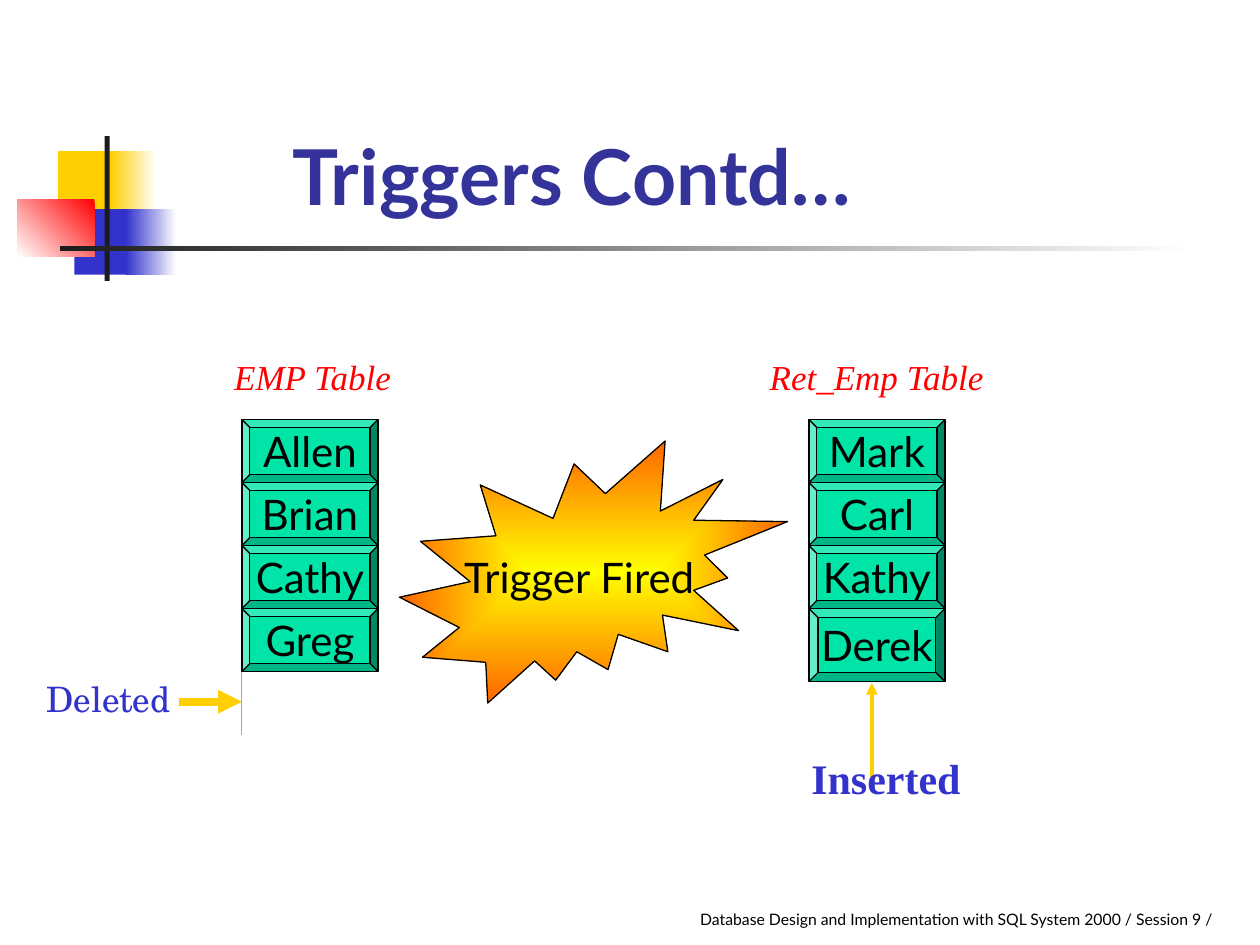
from dataclasses import dataclass

from lxml import etree
from pptx import Presentation
from pptx.dml.color import RGBColor
from pptx.enum.shapes import MSO_CONNECTOR as CONN, MSO_SHAPE as SHAPE
from pptx.enum.text import MSO_ANCHOR as ANCHOR, MSO_AUTO_SIZE as AUTO, PP_ALIGN as ALIGN
from pptx.oxml.ns import qn
from pptx.util import Inches, Pt


@dataclass(frozen=True)
class Theme:
    """Colours, fonts and type sizes of the slide."""
    white: str = "FFFFFF"
    black: str = "000000"
    ink: str = "1C1C1C"
    gold: str = "FFCF01"
    blue: str = "3333CC"
    red: str = "FF0000"
    title: str = "333399"
    row: str = "00E4A8"
    yellow: str = "FFFF00"
    orange: str = "FF6600"
    grey: str = "A6A6A6"
    sans: str = "Lato"
    serif: str = "Times New Roman"
    school: str = "TeX Gyre Schola"
    title_size: int = 44
    body_size: int = 24
    label_size: int = 20
    footer_size: int = 9


T = Theme()


def rgb(color):
    """Turn a hex string into a colour."""
    return RGBColor.from_string(color)


def write(sp, text, size, color, font=T.sans, bold=False, italic=False,
          align=ALIGN.LEFT, anchor=ANCHOR.TOP, wrap=False):
    """Put one formatted paragraph into a shape."""
    tf = sp.text_frame
    tf.word_wrap, tf.auto_size, tf.vertical_anchor = wrap, AUTO.NONE, anchor
    p = tf.paragraphs[0]
    p.text, p.alignment = text, align
    p.font.name, p.font.size, p.font.color.rgb = font, Pt(size), rgb(color)
    p.font.bold, p.font.italic = bold, italic


def add_label(s, box, text, size, color, **style):
    """Add a text box."""
    write(s.shapes.add_textbox(*map(Inches, box)), text, size, color, **style)


def add_block(s, kind, box, fill, line=None):
    """Add a preset shape; a pair of colours as fill makes a gradient."""
    sp = s.shapes.add_shape(kind, *map(Inches, box))
    sp.shadow.inherit = False
    if isinstance(fill, tuple):
        sp.fill.gradient()
        for position, (stop, color) in enumerate(zip(sp.fill.gradient_stops, fill)):
            stop.color.rgb, stop.position = rgb(color), position
    else:
        sp.fill.solid()
        sp.fill.fore_color.rgb = rgb(fill)
    if line:
        sp.line.color.rgb, sp.line.width = rgb(line), Pt(0.75)
    else:
        sp.line.fill.background()
    return sp


def add_line(s, start, end, color, width, arrow=False):
    """Add a straight line, with an arrowhead at its end if wanted."""
    cx = s.shapes.add_connector(CONN.STRAIGHT, *map(Inches, start + end))
    cx.line.color.rgb, cx.line.width = rgb(color), Pt(width)
    if arrow:
        etree.SubElement(cx._element.spPr.find(qn("a:ln")), qn("a:tailEnd"), type="triangle")
    etree.SubElement(cx._element.spPr, qn("a:effectLst"))


def add_ornament(s, left, top):
    """Draw the coloured squares and the crossing bars."""
    parts = [
        (0.32, 0.12, 0.48, 0.52, T.gold, None),
        (0.74, 0.12, 0.36, 0.52, (T.white, T.gold), 180),
        (0.45, 0.58, 0.46, 0.52, T.blue, None),
        (0.86, 0.58, 0.4, 0.52, (T.white, T.blue), 180),
        (0, 0.5, 0.61, 0.46, (T.red, T.white), 225),
        (0.69, 0, 0.04, 1.15, T.ink, None),
        (0.34, 0.87, 9, 0.04, (T.white, T.ink), 180),
    ]
    for x, y, w, h, fill, angle in parts:
        sp = add_block(s, SHAPE.RECTANGLE, (left + x, top + y, w, h), fill)
        if angle:
            sp.fill.gradient_angle = angle


def add_title(s, box, text):
    """Place and format the title placeholder."""
    sp = s.shapes.title
    sp.left, sp.top, sp.width, sp.height = map(Inches, box)
    write(sp, text, T.title_size, T.title, bold=True)


def add_rows(s, left, top, names, last_height=0.5):
    """Stack one bevelled row for each name."""
    for i, name in enumerate(names):
        height = last_height if i == len(names) - 1 else 0.5
        sp = add_block(s, SHAPE.BEVEL, (left, top + i * 0.5, 1.08, height), T.row, T.black)
        write(sp, name, T.body_size, T.black, align=ALIGN.CENTER, anchor=ANCHOR.MIDDLE)


def add_burst(s, box, text):
    """Draw the burst with a gradient that spreads from its centre."""
    sp = add_block(s, SHAPE.EXPLOSION2, box, (T.yellow, T.orange), T.black)
    lin = sp._element.spPr.find(qn("a:gradFill")).find(qn("a:lin"))
    spread = etree.Element(qn("a:path"), {"path": "rect"})
    etree.SubElement(spread, qn("a:fillToRect"), dict.fromkeys("ltrb", "50000"))
    lin.getparent().replace(lin, spread)
    write(sp, text, T.body_size, T.black, align=ALIGN.CENTER, anchor=ANCHOR.MIDDLE)


def add_emp_table(s, left, top):
    """Draw the EMP table and the mark of its deleted row."""
    add_rows(s, left, top, ["Allen", "Brian", "Cathy", "Greg"])
    add_label(s, (left - 0.16, top - 0.56, 1.45, 0.41), "EMP Table", T.label_size, T.red,
              font=T.serif, italic=True)
    add_line(s, (left, top + 2), (left, top + 2.5), T.grey, 0.5)
    add_label(s, (left - 1.65, top + 2, 1.18, 0.41), "Deleted", T.label_size, T.blue,
              font=T.school)
    add_line(s, (left - 0.5, top + 2.24), (left, top + 2.24), T.gold, 4.5, arrow=True)


def add_ret_emp_table(s, left, top):
    """Draw the Ret_Emp table and the mark of its inserted row."""
    add_rows(s, left, top, ["Mark", "Carl", "Kathy", "Derek"], last_height=0.58)
    add_label(s, (left - 0.41, top - 0.56, 1.92, 0.41), "Ret_Emp Table", T.label_size, T.red,
              font=T.serif, italic=True)
    add_line(s, (left + 0.5, top + 2.84), (left + 0.5, top + 2.09), T.gold, 2.25, arrow=True)
    add_label(s, (left - 0.08, top + 2.59, 1.38, 0.5), "Inserted", T.body_size, T.blue,
              font=T.serif, bold=True)


def main():
    """Build and save the slide."""
    prs = Presentation()
    prs.slide_width, prs.slide_height = Inches(10), Inches(7.5)
    s = prs.slides.add_slide(prs.slide_layouts[5])
    add_ornament(s, 0.14, 1.08)
    add_title(s, (2.22, 0.97, 5.24, 0.84), "Triggers Contd…")
    add_emp_table(s, 1.92, 3.33)
    add_burst(s, (3.17, 3.5, 3.08, 2.08), "Trigger Fired")
    add_ret_emp_table(s, 6.42, 3.33)
    add_label(s, (3.17, 7.17, 6.58, 0.33),
              "Database Design and Implementation with SQL System 2000 / Session 9 / ",
              T.footer_size, T.black, align=ALIGN.RIGHT, wrap=True)
    prs.save("out.pptx")


if __name__ == "__main__":
    main()
